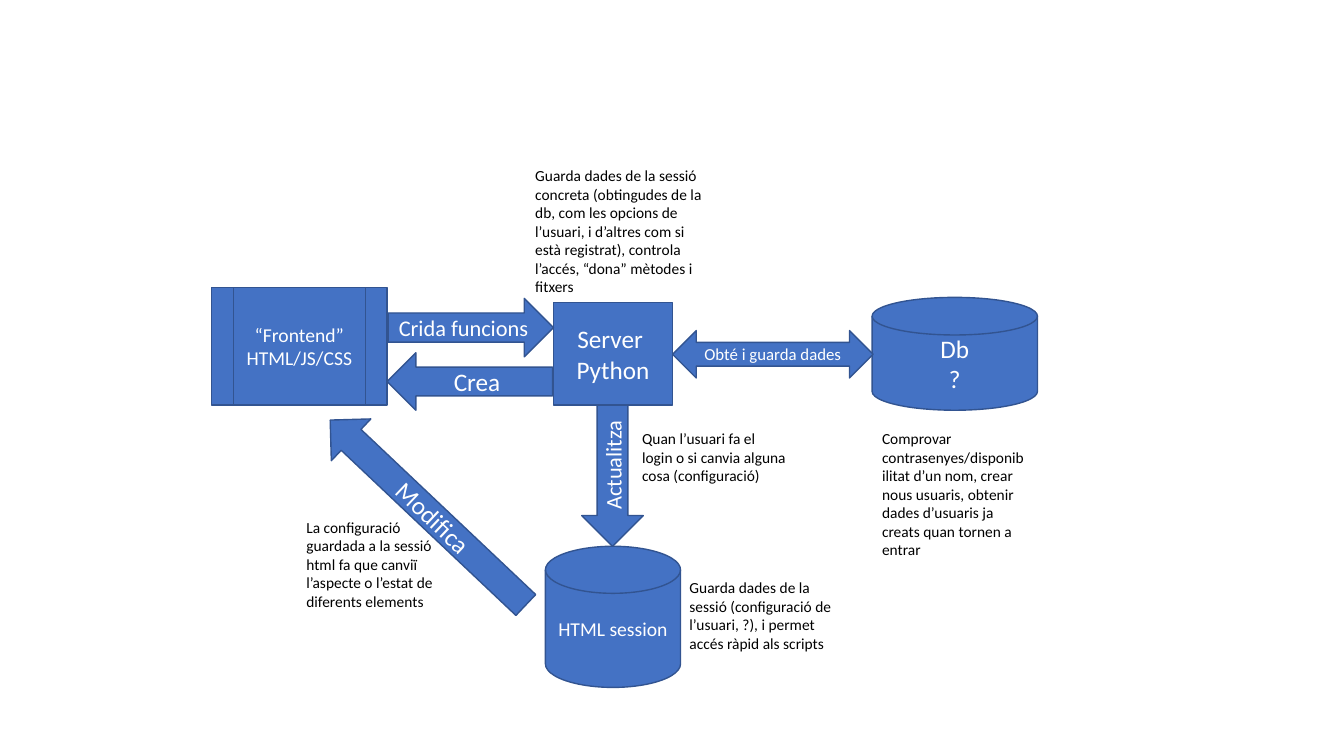
"""Build the slide that shows how the frontend, server, database and session interact."""
import dataclasses

import pptx
import pptx.dml.color
import pptx.enum.shapes
import pptx.enum.text
import pptx.shapes.autoshape
import pptx.slide
import pptx.util

PX = 9144
FONT = "Calibri"
COLORS = {"fill": "4472C4", "line": "325491", "light": "FFFFFF", "dark": "000000"}
FORM = pptx.enum.shapes.MSO_SHAPE
ALIGN = pptx.enum.text.PP_ALIGN
ANCHOR = pptx.enum.text.MSO_ANCHOR
FIT = pptx.enum.text.MSO_AUTO_SIZE


@dataclasses.dataclass(frozen=True)
class Block:
    form: FORM
    box: tuple[int, int, int, int]
    text: str = ""
    size: int = 18
    turn: float = 0


@dataclasses.dataclass(frozen=True)
class Note:
    box: tuple[int, int, int, int]
    text: str
    size: int = 11
    color: str = "dark"
    turn: float = 0


BLOCKS = [
    Block(FORM.RECTANGLE, (549, 300, 118, 102), "Server \nPython"),
    Block(FORM.FLOWCHART_MAGNETIC_DISK, (865, 295, 164, 112), "Db\n?"),
    Block(FORM.LEFT_RIGHT_ARROW, (667, 328, 199, 47), "Obté i guarda dades", 12),
    Block(FORM.LEFT_ARROW, (384, 350, 164, 57), "Crea"),
    Block(FORM.DOWN_ARROW, (577, 402, 61, 140)),
    Block(FORM.FLOWCHART_MAGNETIC_DISK, (541, 542, 134, 140), "HTML session", 14),
    Block(FORM.FLOWCHART_PREDEFINED_PROCESS, (210, 285, 174, 117),
          "“Frontend”\nHTML/JS/CSS", 14),
    Block(FORM.RIGHT_ARROW, (385, 296, 164, 58), "Crida funcions", 16),
    Block(FORM.LEFT_ARROW, (291, 480, 267, 57), "Modifica", turn=43.4),
]

NOTES = [
    Note((865, 421, 164, 140),
         "Comprovar contrasenyes/disponibilitat d’un nom, crear nous usuaris, "
         "obtenir dades d’usuaris ja creats quan tornen a entrar"),
    Note((521, 160, 188, 140),
         "Guarda dades de la sessió concreta (obtingudes de la db, com les opcions "
         "de l’usuari, i d’altres com si està registrat), controla l’accés, "
         "“dona” mètodes i fitxers"),
    Note((514, 403, 188, 37), "Actualitza", 16, "light", 270),
    Note((674, 569, 164, 84),
         "Guarda dades de la sessió (configuració de l’usuari, ?), "
         "i permet accés ràpid als scripts"),
    Note((627, 421, 164, 66),
         "Quan l’usuari fa el login o si canvia alguna cosa (configuració)"),
    Note((294, 509, 164, 103),
         "La configuració guardada a la sessió html fa que canviï l’aspecte "
         "o l’estat de diferents elements"),
]


def px(count: int) -> pptx.util.Emu:
    return pptx.util.Emu(count * PX)


def rgb(name: str) -> pptx.dml.color.RGBColor:
    return pptx.dml.color.RGBColor.from_string(COLORS[name])


def write(shape: pptx.shapes.autoshape.Shape, text: str, *, size: int, color: str,
          align: ALIGN, anchor: ANCHOR, fit: FIT) -> None:
    frame = shape.text_frame
    frame.word_wrap = True
    frame.auto_size = fit
    frame.vertical_anchor = anchor
    frame.text = text
    for para in frame.paragraphs:
        para.alignment = align
        for run in para.runs:
            run.font.name = FONT
            run.font.size = pptx.util.Pt(size)
            run.font.color.rgb = rgb(color)


def draw_block(slide: pptx.slide.Slide, block: Block) -> None:
    shape = slide.shapes.add_shape(block.form, *map(px, block.box))
    shape.rotation = block.turn
    shape.shadow.inherit = False
    shape.fill.solid()
    shape.fill.fore_color.rgb = rgb("fill")
    shape.line.color.rgb = rgb("line")
    shape.line.width = pptx.util.Pt(1)
    write(shape, block.text, size=block.size, color="light",
          align=ALIGN.CENTER, anchor=ANCHOR.MIDDLE, fit=FIT.NONE)


def draw_note(slide: pptx.slide.Slide, note: Note) -> None:
    shape = slide.shapes.add_textbox(*map(px, note.box))
    shape.rotation = note.turn
    write(shape, note.text, size=note.size, color=note.color,
          align=ALIGN.LEFT, anchor=ANCHOR.TOP, fit=FIT.SHAPE_TO_FIT_TEXT)


def main() -> None:
    deck = pptx.Presentation()
    deck.slide_width, deck.slide_height = px(1333), px(750)
    slide = deck.slides.add_slide(deck.slide_layouts.get_by_name("Blank"))
    for block in BLOCKS:
        draw_block(slide, block)
    for note in NOTES:
        draw_note(slide, note)
    deck.save("out.pptx")


if __name__ == "__main__":
    main()
